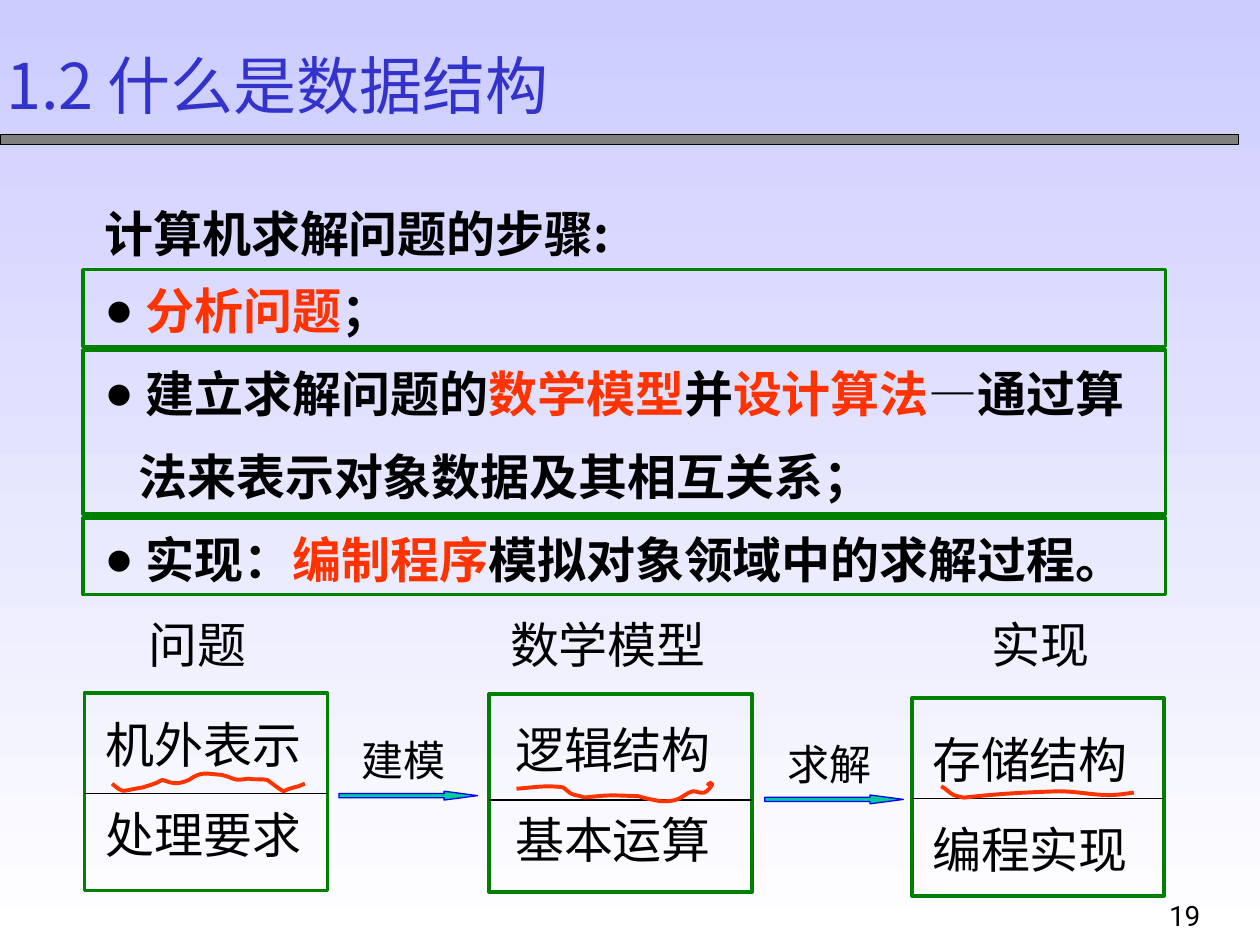
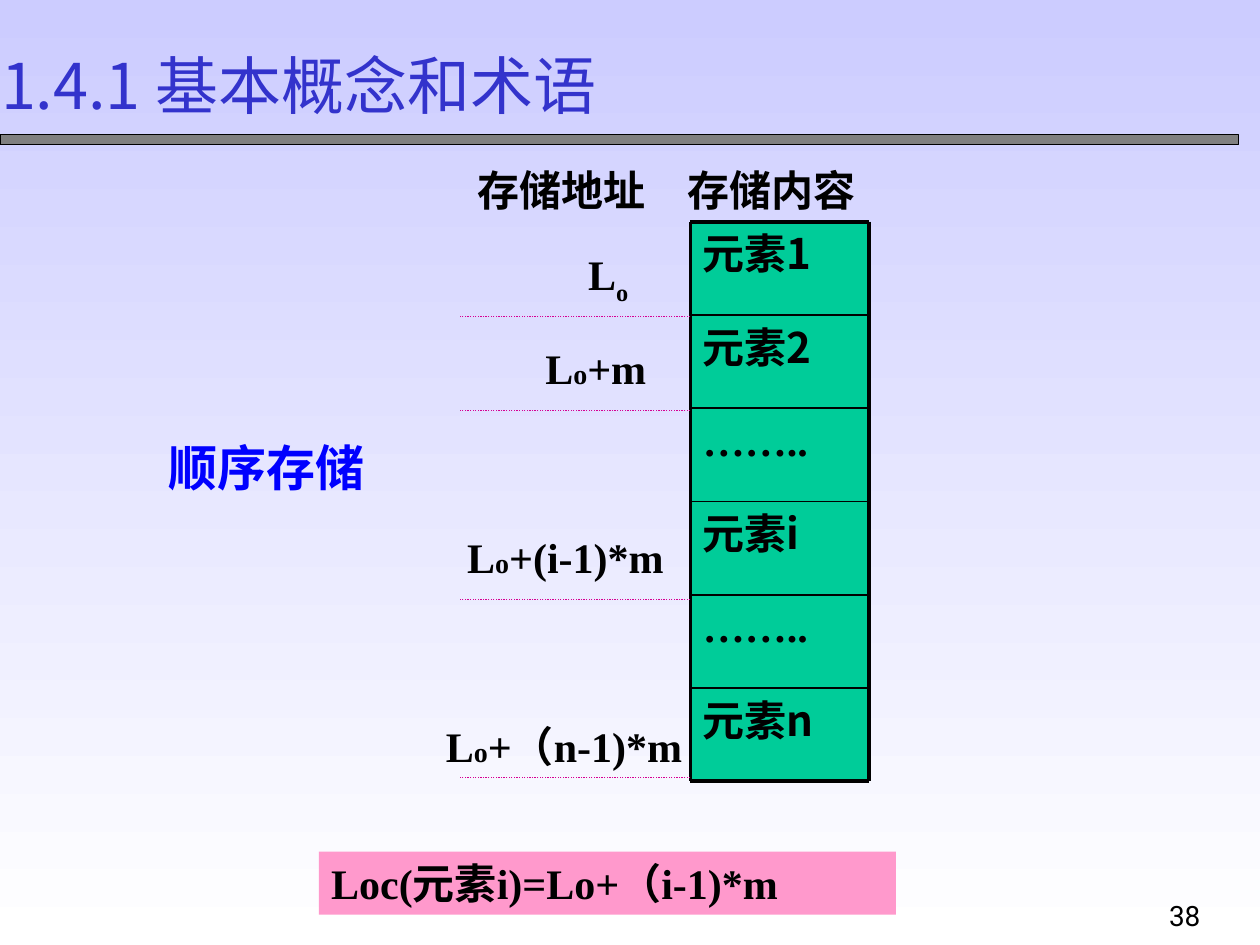
from lxml.etree import SubElement
from pptx import Presentation
from pptx.dml.color import RGBColor
from pptx.enum.dml import MSO_LINE_DASH_STYLE as Dash
from pptx.enum.shapes import MSO_CONNECTOR as Connector, MSO_SHAPE as Shape
from pptx.enum.text import MSO_ANCHOR as Anchor, PP_ALIGN as Align
from pptx.oxml.ns import qn
from pptx.util import Inches, Pt

BLACK = RGBColor(0x00, 0x00, 0x00)
WHITE = RGBColor(0xFF, 0xFF, 0xFF)
LAVENDER = RGBColor(0xCC, 0xCC, 0xFF)
INDIGO = RGBColor(0x33, 0x33, 0xCC)
GRAY = RGBColor(0x80, 0x80, 0x80)
GREEN = RGBColor(0x00, 0x80, 0x00)
TEAL = RGBColor(0x00, 0xCC, 0x99)
BLUE = RGBColor(0x00, 0x00, 0xFF)
RED = RGBColor(0xFF, 0x33, 0x00)
MAGENTA = RGBColor(0xD6, 0x00, 0x93)
PINK = RGBColor(0xFF, 0x99, 0xCC)

SANS = "Noto Sans CJK SC"
SERIF = "Times New Roman"
LINE_FACTOR = 1.2


def add_run(paragraph, text, size, font, color, bold, baseline=None):
    """Append one run with its Latin and East Asian fonts."""
    run = paragraph.add_run()
    run.text = text
    run.font.size = Pt(size)
    run.font.bold = bold
    run.font.color.rgb = color
    run.font.name = font
    properties = run._r.get_or_add_rPr()
    SubElement(properties, qn("a:ea")).set("typeface", SANS)
    if baseline:
        properties.set("baseline", str(baseline))


def set_indent(paragraph, margin, bullet=None):
    """Indent a paragraph and hang its bullet in the margin."""
    properties = paragraph._p.get_or_add_pPr()
    properties.set("marL", str(Inches(margin)))
    properties.set("indent", str(-Inches(margin) if bullet else 0))
    if bullet:
        color = SubElement(properties, qn("a:buClr"))
        SubElement(color, qn("a:srgbClr")).set("val", str(BLACK))
        SubElement(properties, qn("a:buFont")).set("typeface", SERIF)
        SubElement(properties, qn("a:buChar")).set("char", bullet)


def write(frame, paragraphs, size=24, font=SERIF, color=BLACK, bold=False,
          align=Align.LEFT, before=0, after=0, leading=None):
    """Fill a text frame; a paragraph is a string or a list of (text, overrides)."""
    frame.word_wrap = True
    frame.vertical_anchor = Anchor.TOP
    for index, runs in enumerate(paragraphs):
        paragraph = frame.paragraphs[0] if index == 0 else frame.add_paragraph()
        paragraph.alignment = align
        paragraph.line_spacing = Pt(leading or size * LINE_FACTOR)
        paragraph.space_before = Pt(before if index else 0)
        paragraph.space_after = Pt(after)
        for text, overrides in [(runs, {})] if isinstance(runs, str) else runs:
            style = dict(size=size, font=font, color=color, bold=bold)
            add_run(paragraph, text, **{**style, **overrides})


def add_text(slide, left, top, width, height, *paragraphs, **style):
    """Place a text box and return its frame."""
    box = slide.shapes.add_textbox(Inches(left), Inches(top), Inches(width), Inches(height))
    write(box.text_frame, paragraphs, **style)
    return box.text_frame


def add_box(slide, left, top, width, height, fill=None, line=None, weight=0.75,
            kind=Shape.RECTANGLE):
    """Place a preset shape with an optional fill and outline."""
    box = slide.shapes.add_shape(kind, Inches(left), Inches(top), Inches(width), Inches(height))
    box.shadow.inherit = False
    if fill is None:
        box.fill.background()
    else:
        box.fill.solid()
        box.fill.fore_color.rgb = fill
    if line is None:
        box.line.fill.background()
    else:
        box.line.color.rgb = line
        box.line.width = Pt(weight)
    return box


def add_rule(slide, x1, y1, x2, y2, color=BLACK, weight=0.75, dash=None):
    """Draw a straight line without a shadow."""
    rule = slide.shapes.add_connector(
        Connector.STRAIGHT, Inches(x1), Inches(y1), Inches(x2), Inches(y2))
    rule.line.color.rgb = color
    rule.line.width = Pt(weight)
    if dash:
        rule.line.dash_style = dash
    SubElement(rule._element.spPr, qn("a:effectLst"))


def add_underline(slide, left, top, knots):
    """Draw a hand-drawn stroke through chained cubic curves."""
    points = [(Inches(left + x), Inches(top + y)) for x, y in knots]
    builder = slide.shapes.build_freeform(*points[0], scale=1.0)
    builder.add_line_segments(points[1:], close=False)
    stroke = builder.convert_to_shape()
    segments = list(stroke._element.iter(qn("a:lnTo")))
    outline = segments[0].getparent()
    for start in range(0, len(segments), 3):
        curve = SubElement(outline, qn("a:cubicBezTo"))
        for segment in segments[start:start + 3]:
            curve.append(segment[0])
            outline.remove(segment)
    stroke.shadow.inherit = False
    stroke.fill.background()
    stroke.line.color.rgb = RED
    stroke.line.width = Pt(2.25)


def start_slide(prs, title, number, title_left):
    """Add a blank slide with the title and page number."""
    slide = prs.slides.add_slide(prs.slide_layouts[6])
    add_text(slide, title_left, 0.32, 5.62, 0.7, title, size=36, font=SANS, color=INDIGO)
    add_text(slide, 9.18, 7.08, 0.8, 0.42, str(number), size=16, font="Roboto")
    return slide


def add_steps(slide, left, top):
    """List the solution steps and frame each one."""
    key = {"color": RED}
    frame = add_text(
        slide, left, top, 8.64, 3.31,
        "计算机求解问题的步骤:",
        [("分析问题", key), ("；", {})],
        [("建立求解问题的", {}), ("数学模型", key), ("并", {}), ("设计算法", key),
         ("—", {"font": "Arial", "bold": False}), ("通过算", {})],
        "法来表示对象数据及其相互关系；",
        [("实现：", {}), ("编制程序", key), ("模拟对象领域中的求解过程。", {})],
        size=28, font=SANS, bold=True, before=3.5, after=3.5, leading=40.5)
    heading, analysis, modelling, continuation, coding = frame.paragraphs
    heading.line_spacing = Pt(45.5)
    heading.space_after = Pt(0)
    for step in (analysis, modelling, coding):
        set_indent(step, 0.33, "●")
    set_indent(continuation, 0.27)
    for offset, height in ((0.74, 0.61), (1.38, 1.3), (2.71, 0.61)):
        add_box(slide, left - 0.07, top + offset, 8.59, height, line=GREEN, weight=2)


def add_stage(slide, left, top, width, name, name_left, lines, inset, text_top, divider, knots):
    """Draw one stage: its name, a divided frame, two lines and a stroke."""
    add_text(slide, left + name_left, 4.83, 1.83, 0.57, name, size=28)
    add_box(slide, left + 0.01, top, width - 0.01, 1.57, line=BLACK)
    add_box(slide, left, top, width, 1.57, line=GREEN, weight=2)
    add_rule(slide, left, top + divider, left + width, top + divider)
    add_text(slide, left + inset, top + text_top, 1.9, 1.28, *lines, size=28, before=18)
    add_underline(slide, left, top, knots)


def add_transition(slide, left, top, label):
    """Draw a labelled arrow between two stages."""
    add_text(slide, left + 0.08, top - 0.5, 0.92, 0.5, label)
    arrow = add_box(slide, left, top, 1.1, 0.07, TEAL, BLUE, kind=Shape.RIGHT_ARROW)
    arrow.adjustments[0] = 0.5
    arrow.adjustments[1] = 3.78


def add_solving_slide(prs):
    """Build the slide on the steps of solving a problem."""
    slide = start_slide(prs, "1.2 什么是数据结构", 19, -0.05)
    add_steps(slide, 0.73, 1.4)
    problem_stroke = [
        (0.22, 0.72), (0.32, 0.8), (0.27, 0.78), (0.46, 0.75), (0.46, 0.75), (0.56, 0.72),
        (0.58, 0.71), (0.59, 0.7), (0.62, 0.69), (0.62, 0.69), (0.71, 0.72), (0.73, 0.73),
        (0.83, 0.69), (0.93, 0.62), (0.96, 0.64), (1.09, 0.65), (1.21, 0.68), (1.17, 0.7),
        (1.3, 0.68), (1.35, 0.69), (1.41, 0.68), (1.45, 0.69), (1.47, 0.7), (1.54, 0.76),
        (1.58, 0.78), (1.62, 0.76), (1.66, 0.75), (1.7, 0.74), (1.72, 0.73), (1.75, 0.72),
        (1.75, 0.72)]
    model_stroke = [
        (0.22, 0.75), (0.37, 0.74), (0.45, 0.72), (0.59, 0.74), (0.62, 0.76), (0.64, 0.79),
        (0.68, 0.8), (0.7, 0.8), (0.76, 0.82), (0.76, 0.82), (0.95, 0.8), (0.95, 0.8),
        (1.19, 0.81), (1.25, 0.83), (1.31, 0.84), (1.37, 0.85), (1.41, 0.85), (1.44, 0.85),
        (1.48, 0.84), (1.53, 0.83), (1.57, 0.78), (1.62, 0.77), (1.65, 0.77), (1.7, 0.8),
        (1.73, 0.77), (1.85, 0.65), (1.67, 0.75), (1.77, 0.7)]
    storage_stroke = [
        (0.23, 0.7), (0.27, 0.72), (0.29, 0.75), (0.33, 0.77), (0.36, 0.78), (0.41, 0.79),
        (0.41, 0.79), (0.68, 0.76), (0.86, 0.75), (1.16, 0.74), (1.3, 0.74), (1.43, 0.77),
        (1.57, 0.77), (1.63, 0.77), (1.76, 0.75), (1.76, 0.75)]
    add_stage(slide, 0.67, 5.5, 1.93, "问题", 0.41, ("机外表示", "处理要求"),
              0.07, 0.12, 0.8, problem_stroke)
    add_stage(slide, 3.88, 5.51, 2.09, "数学模型", 0.07, ("逻辑结构", "基本运算"),
              0.11, 0.15, 0.84, model_stroke)
    add_stage(slide, 7.24, 5.54, 2, "实现", 0.53, ("存储结构", "编程实现"),
              0.06, 0.2, 0.8, storage_stroke)
    add_transition(slide, 2.69, 6.28, "建模")
    add_transition(slide, 6.07, 6.31, "求解")


def add_memory_cells(slide, left, top, width=1.42, pitch=0.74):
    """Stack the stored elements and rule the cells."""
    elements = ("元素1", "元素2", "……..", "元素i", "……..", "元素n")
    count = len(elements)
    bottom = top + count * pitch
    for row, element in enumerate(elements):
        cell = add_box(slide, left, top + row * pitch, width, pitch, TEAL)
        font = SANS if element.startswith("元素") else SERIF
        write(cell.text_frame, [element], font=font, bold=True)
    for row in range(count + 1):
        y = top + row * pitch
        add_rule(slide, left, y, left + width, y, weight=2.25 if row in (0, count) else 1)
    for x in (left, left + width):
        add_rule(slide, x, top, x, bottom, weight=2.25)


def add_addresses(slide, right, top, pitch=0.75):
    """Label the cell addresses and draw their dotted guides."""
    small = {"size": 16}
    addresses = (
        (0, 0.91, 0.83, [("L", {}), ("o", {"baseline": -25000})]),
        (1, 1.25, 1.17, [("L", {}), ("o", small), ("+m", {})]),
        (3, 1.87, 2.13, [("L", {}), ("o", small), ("+(i-1)*m", {})]),
        (5, 2.04, 2.08, [("L", {}), ("o", small), ("+（n-1)*m", {})]))
    for row, offset, width, runs in addresses:
        y = top + row * pitch
        add_text(slide, right - offset, y, width, 0.5, runs, bold=True,
                 leading=33 if row == 0 else None)
        guide = min(y + 0.59, top + 4.25)
        add_rule(slide, right, guide, right - 1.83, guide, MAGENTA, dash=Dash.ROUND_DOT)


def add_storage_slide(prs):
    """Build the slide on sequential storage."""
    slide = start_slide(prs, "1.4.1 基本概念和术语", 38, -0.09)
    add_memory_cells(slide, 5.48, 1.76)
    add_addresses(slide, 5.48, 1.92)
    add_text(slide, 3.69, 1.26, 1.71, 0.5, "存储地址", bold=True)
    add_text(slide, 5.36, 1.26, 1.58, 0.5, "存储内容", bold=True)
    formula = add_box(slide, 2.53, 6.76, 4.58, 0.5, PINK)
    write(formula.text_frame, ["Loc(元素i)=Lo+（i-1)*m"], bold=True)
    add_text(slide, 1.24, 3.42, 1.85, 0.57, "顺序存储", size=28, color=BLUE, bold=True)


def style_master(prs):
    """Give the master its gradient and move the title band onto it."""
    master = prs.slide_master
    backdrop = master.background.fill
    backdrop.gradient()
    backdrop.gradient_angle = 270
    for stop, color, position in zip(backdrop.gradient_stops, (LAVENDER, WHITE), (0, 1)):
        stop.color.rgb = color
        stop.position = position
    band = add_box(prs.slides[0], 0, 1.07, 9.83, 0.08, GRAY, BLACK)
    master.shapes._spTree.append(band._element)


def main():
    """Build and save the presentation."""
    prs = Presentation()
    prs.slide_width, prs.slide_height = Inches(10), Inches(7.5)
    add_solving_slide(prs)
    add_storage_slide(prs)
    style_master(prs)
    prs.save("out.pptx")


if __name__ == "__main__":
    main()
